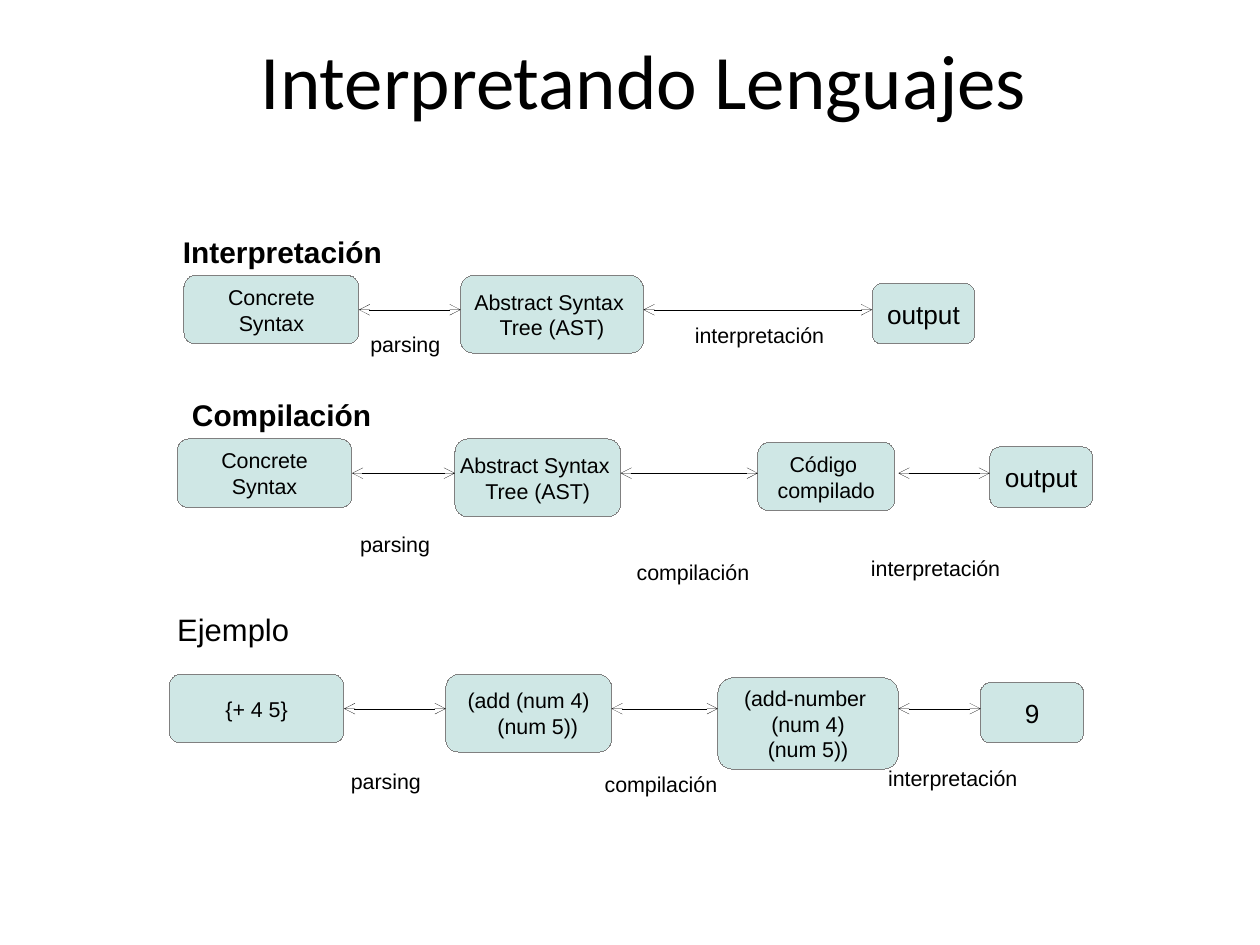
from dataclasses import dataclass

from lxml import etree
from pptx import Presentation, util as u
from pptx.dml.color import RGBColor
from pptx.enum import shapes, text
from pptx.oxml.ns import qn


@dataclass(frozen=True)
class Theme:
    box: str = "CFE7E5"
    edge: str = "808080"
    ink: str = "000000"
    title_font: str = "Calibri"
    font: str = "Arial"
    title: float = 48.5
    heading: float = 18.8
    example: float = 19.5
    body: float = 13.5
    output: float = 16.5


# Content: lengths are cells of a grid of tenths of an inch
THEME = Theme()
CELL = u.Inches(0.1)
TITLE = ("Interpretando Lenguajes", (19.1, 3.4, 74.4, 6.9))
LABEL_WIDTH = {"parsing": 7.7, "compilación": 11.5, "interpretación": 13}
LABEL_HEIGHT = 2.9
ARROW_DROP = 3  # arrows run this far below the top of their row
INDENT = 1.6

# heading: text, box, size, bold
# boxes: text, left, drop below row top, width, height, size
# steps: label, left, drop below row top, gap before arrow
ROWS = [
    dict(top=24.1,
         heading=("Interpretación", (15.3, 20, 19, 3.8), THEME.heading, True),
         boxes=[("Concrete\vSyntax", 16.1, 0, 15.3, 6, THEME.body),
                ("Abstract Syntax \vTree (AST)", 40.3, 0, 16, 6.8, THEME.body),
                ("output", 76.3, 0.7, 9, 5.3, THEME.output)],
         steps=[("parsing", 31.7, 4.5, 0),
                ("interpretación", 60.1, 3.7, 0)]),
    dict(top=38.4,
         heading=("Compilación", (16.1, 34.3, 17.3, 3.8), THEME.heading, True),
         boxes=[("Concrete\vSyntax", 15.5, 0, 15.3, 6, THEME.body),
                ("Abstract Syntax \vTree (AST)", 39.8, 0, 14.5, 6.8, THEME.body),
                ("Código \vcompilado", 66.3, 0.3, 12, 6, THEME.body),
                ("output", 86.6, 0.7, 9, 5.3, THEME.output)],
         steps=[("parsing", 30.8, 7.7, 0),
                ("compilación", 55, 10.1, 0),
                ("interpretación", 75.5, 9.8, 0.3)]),
    dict(top=59,
         heading=("Ejemplo", (14.8, 53, 11.4, 3.9), THEME.example, False),
         boxes=[("{+ 4 5}", 14.8, 0, 15.3, 6, THEME.body),
                ("(add (num 4)\n(num 5))", 39, 0, 14.5, 6.8, THEME.body),
                ("(add-number \v(num 4)\v(num 5))", 62.8, 0.3, 15.8, 8, THEME.body),
                ("9", 85.8, 0.7, 9, 5.3, THEME.output)],
         steps=[("parsing", 30, 7.8, 0),
                ("compilación", 52.2, 8.1, 0),
                ("interpretación", 77, 7.5, 0)]),
]


def cells(*lengths):
    return [round(n * CELL) for n in lengths]


def write(sp, words, size, align, font=THEME.font, bold=False,
          anchor=text.MSO_ANCHOR.TOP):
    tf = sp.text_frame
    frame = dict(text=words, word_wrap=False, vertical_anchor=anchor,
                 margin_left=u.Inches(0.07), margin_right=u.Inches(0.07),
                 margin_top=u.Inches(0.04), margin_bottom=u.Inches(0.04))
    for name, value in frame.items():
        setattr(tf, name, value)
    for i, p in enumerate(tf.paragraphs):
        p.alignment = align
        if i:
            p._p.get_or_add_pPr().set("marL", str(cells(INDENT)[0]))
        for r in p.runs:
            for name, value in dict(name=font, size=u.Pt(size), bold=bold).items():
                setattr(r.font, name, value)
            r.font.color.rgb = RGBColor.from_string(THEME.ink)


def hairline(sp, color):
    sp.line.color.rgb = RGBColor.from_string(color)
    ln = sp.line._get_or_add_ln()
    ln.set("w", "0")
    return ln


def add_label(s, place, words, size, align=text.PP_ALIGN.LEFT, **style):
    write(s.shapes.add_textbox(*cells(*place)), words, size, align, **style)


def add_box(s, top, words, left, drop, width, height, size):
    sp = s.shapes.add_shape(shapes.MSO_SHAPE.ROUNDED_RECTANGLE,
                            *cells(left, top + drop, width, height))
    sp.shadow.inherit = False
    sp.fill.solid()
    sp.fill.fore_color.rgb = RGBColor.from_string(THEME.box)
    hairline(sp, THEME.edge)
    write(sp, words, size, text.PP_ALIGN.CENTER, anchor=text.MSO_ANCHOR.MIDDLE)
    return sp


def add_arrow(s, start, end, top, gap):
    y, offset = cells(top + ARROW_DROP, gap)
    right = start.left + start.width
    line = s.shapes.add_connector(shapes.MSO_CONNECTOR.STRAIGHT,
                                  right + offset, y, end.left, y)
    ln = hairline(line, THEME.ink)
    for tip in ("a:headEnd", "a:tailEnd"):
        etree.SubElement(ln, qn(tip), type="arrow")
    etree.SubElement(line._element.spPr, qn("a:effectLst"))
    # Join only where the arrow leaves the middle of the side
    if not gap and abs(start.top + start.height / 2 - y) < 10:
        line.begin_connect(start, 3)


def main():
    prs = Presentation()
    prs.slide_width, prs.slide_height = u.Cm(28), u.Cm(21)
    s = prs.slides.add_slide(prs.slide_layouts[6])

    # Title
    words, place = TITLE
    add_label(s, place, words, THEME.title, text.PP_ALIGN.CENTER,
              font=THEME.title_font, anchor=text.MSO_ANCHOR.MIDDLE)

    # Rows: heading, boxes, then the arrows and labels between them
    for row in ROWS:
        top = row["top"]
        words, place, size, bold = row["heading"]
        add_label(s, place, words, size, bold=bold)
        boxes = [add_box(s, top, *box) for box in row["boxes"]]
        for start, end, step in zip(boxes, boxes[1:], row["steps"]):
            label, left, drop, gap = step
            add_arrow(s, start, end, top, gap)
            add_label(s, (left, top + drop, LABEL_WIDTH[label], LABEL_HEIGHT),
                      label, THEME.body)

    prs.save("out.pptx")


if __name__ == "__main__":
    main()
